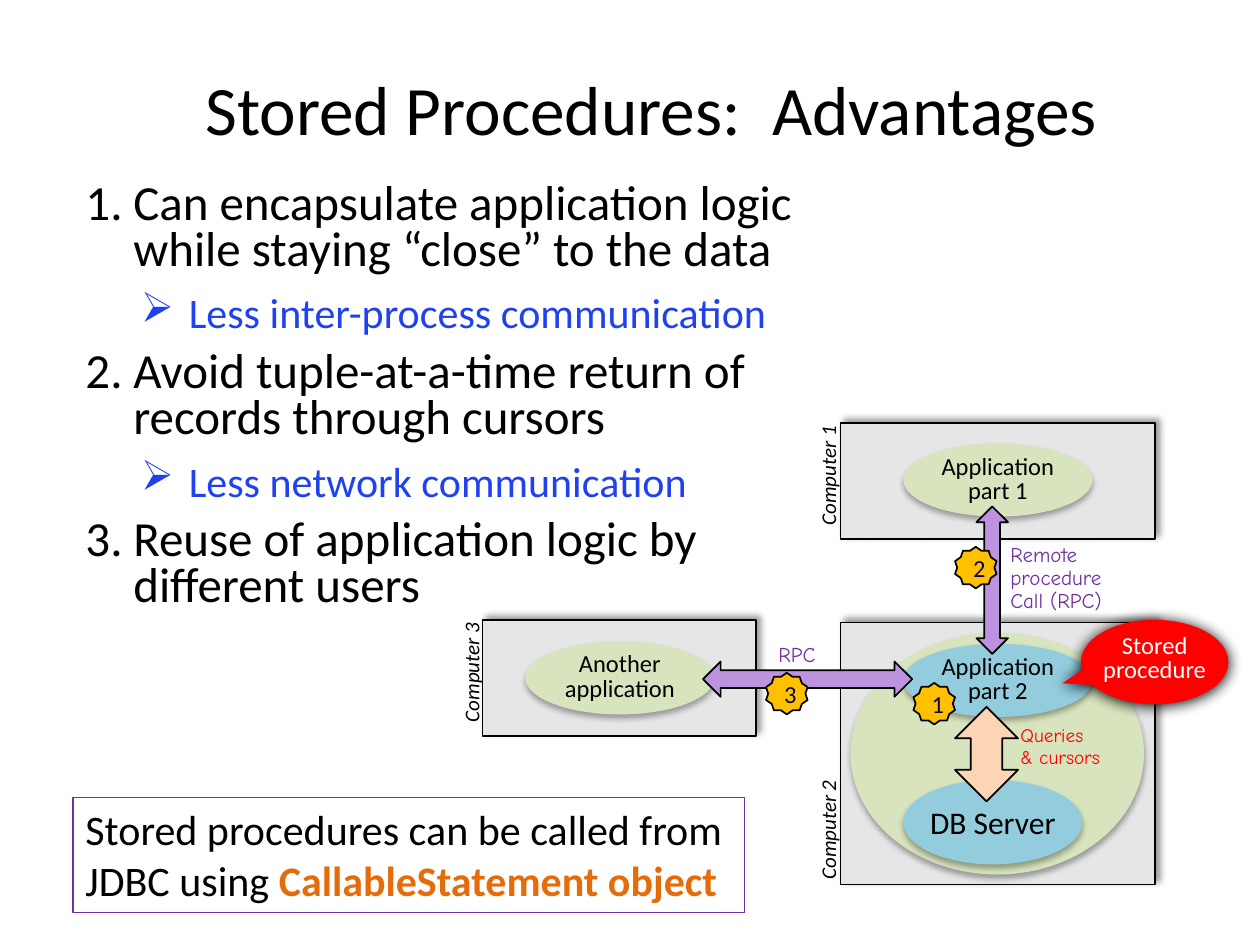
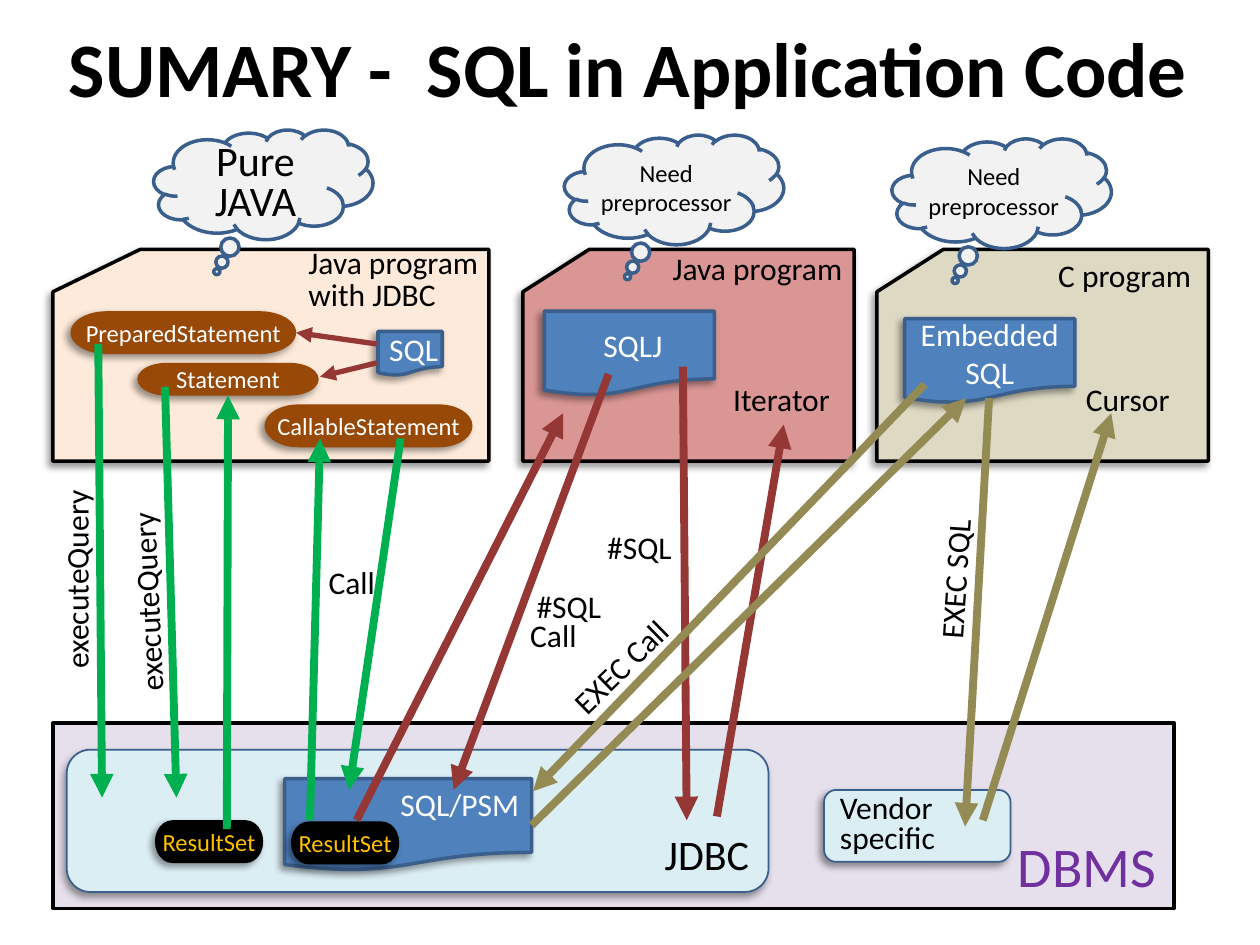
from lxml.etree import SubElement
from pptx import Presentation
from pptx.dml.color import RGBColor
from pptx.enum.shapes import MSO_CONNECTOR, MSO_SHAPE as Preset
from pptx.enum.text import MSO_ANCHOR as Anchor, MSO_AUTO_SIZE as AutoSize, PP_ALIGN as Align
from pptx.oxml.ns import qn
from pptx.util import Inches, Pt

BLACK = RGBColor(0x00, 0x00, 0x00)
WHITE = RGBColor(0xFF, 0xFF, 0xFF)
BLUE = RGBColor(0x20, 0x42, 0xEE)
NAVY = RGBColor(0x09, 0x06, 0x4E)
STEEL = RGBColor(0x4F, 0x81, 0xBD)
STEEL_EDGE = RGBColor(0x3A, 0x5F, 0x8C)
SKY = RGBColor(0x93, 0xCD, 0xDD)
ICE = RGBColor(0xDB, 0xEE, 0xF4)
SAGE = RGBColor(0xD7, 0xE4, 0xBD)
GREEN = RGBColor(0x00, 0xB0, 0x50)
GREY = RGBColor(0xE6, 0xE6, 0xE6)
PALE_GREY = RGBColor(0xF2, 0xF2, 0xF2)
LAVENDER = RGBColor(0xE6, 0xE0, 0xEC)
LILAC = RGBColor(0xBD, 0x92, 0xDE)
PURPLE = RGBColor(0x70, 0x30, 0xA0)
PEACH = RGBColor(0xFC, 0xD5, 0xB5)
CREAM = RGBColor(0xFD, 0xEA, 0xDA)
ORANGE = RGBColor(0xE4, 0x6C, 0x0A)
GOLD = RGBColor(0xFF, 0xC0, 0x00)
BROWN = RGBColor(0x98, 0x48, 0x07)
RED = RGBColor(0xFF, 0x00, 0x00)
ROSE = RGBColor(0xD9, 0x96, 0x94)
MAROON = RGBColor(0x95, 0x37, 0x35)
SAND = RGBColor(0xDD, 0xD9, 0xC3)
OLIVE = RGBColor(0x94, 0x8A, 0x54)

MAIN_FONT = "Calibri"
NOTE_FONT = "Comic Neue"
NO_INSETS = (0, 0, 0, 0)
SIDE_FREE = (0, 0.05, 0, 0.05)

RIGHT_SHADOW = (40, 4, 3, 315)
LEFT_SHADOW = (40, 4, 3, 135)
SOFT_SHADOW = (32, 3.5, 2.2, 90)
STRONG_SHADOW = (100, 8.5, 1, 90)


def cast_shadow(shape, opacity, blur, distance, angle):
    """Give a shape a black outer shadow."""
    effects = shape._element.spPr.find(qn("a:effectLst"))
    outer = SubElement(effects, qn("a:outerShdw"), blurRad=str(Pt(blur)), dist=str(Pt(distance)),
                       dir=str(angle * 60000), algn="ctr", rotWithShape="0")
    color = SubElement(outer, qn("a:srgbClr"), val=str(BLACK))
    SubElement(color, qn("a:alpha"), val=str(opacity * 1000))


def add_shape(page, preset, at, fill=None, edge=None, width=1, shadow=None, adjust=()):
    """Draw a preset shape with its fill, outline and shadow."""
    shape = page.shapes.add_shape(preset, *map(Inches, at))
    shape.shadow.inherit = False
    if fill is None:
        shape.fill.background()
    else:
        shape.fill.solid()
        shape.fill.fore_color.rgb = fill
    if edge is None:
        shape.line.fill.background()
    else:
        shape.line.color.rgb = edge
        shape.line.width = Pt(width)
    if shadow:
        cast_shadow(shape, *shadow)
    for index, value in enumerate(adjust):
        shape.adjustments[index] = value
    return shape


def add_span(para, text, size, color=BLACK, font=MAIN_FONT, bold=False, italic=False):
    """Append one formatted run to a paragraph."""
    span = para.add_run()
    span.text = text
    span.font.size = Pt(size)
    span.font.name = font
    span.font.color.rgb = color
    span.font.bold = bold
    span.font.italic = italic


def write(shape, text, size, color=BLACK, align=Align.CENTER, anchor=Anchor.MIDDLE,
          leading=None, insets=(0.1, 0.05, 0.1, 0.05), **style):
    """Fill a shape with text, one paragraph a line."""
    frame = shape.text_frame
    frame.word_wrap = True
    frame.vertical_anchor = anchor
    frame.margin_left, frame.margin_top, frame.margin_right, frame.margin_bottom = map(Inches, insets)
    for index, line in enumerate(text.split("\n")):
        para = frame.add_paragraph() if index else frame.paragraphs[0]
        para.alignment = align
        if leading:
            para.line_spacing = Pt(leading)
        add_span(para, line, size, color, **style)


def add_label(page, at, text, size=18, color=BLACK, rotation=0, wrap=False, **style):
    """Place free text, turned if needed."""
    box = page.shapes.add_textbox(*map(Inches, at))
    write(box, text, size, color, Align.LEFT, Anchor.TOP, **style)
    box.text_frame.word_wrap = wrap
    box.text_frame.auto_size = AutoSize.SHAPE_TO_FIT_TEXT
    box.rotation = rotation


def add_title(page, at, text, size, bold=False):
    """Place the centred slide title."""
    box = page.shapes.add_textbox(*map(Inches, at))
    write(box, text, size, bold=bold)


def add_arrow(page, start, end, color, width=4.5):
    """Draw a straight line with a triangle at its end."""
    arrow = page.shapes.add_connector(MSO_CONNECTOR.STRAIGHT, *map(Inches, start + end))
    arrow.line.color.rgb = color
    arrow.line.width = Pt(width)
    SubElement(arrow.line._get_or_add_ln(), qn("a:tailEnd"), type="triangle")
    SubElement(arrow._element.spPr, qn("a:effectLst"))


def add_advantages(page, at, items):
    """List numbered advantages, with an arrow bullet under some."""
    frame = page.shapes.add_textbox(*map(Inches, at)).text_frame
    frame.word_wrap = True
    for index, (level, text) in enumerate(items):
        para = frame.add_paragraph() if index else frame.paragraphs[0]
        para.level = level
        para.line_spacing = Pt(26)
        para.space_before = Pt(3)
        para.space_after = Pt(6)
        props = para._p.get_or_add_pPr()
        props.set("marL", str(Inches(0.82 if level else 0.38)))
        props.set("indent", str(Inches(-0.38)))
        if level:
            SubElement(props, qn("a:buChar"), char="➢")
        else:
            SubElement(props, qn("a:buAutoNum"), type="arabicPeriod")
        add_span(para, text, 24 if level else 28, BLUE if level else BLACK)


def add_computer(page, at, name, name_at):
    """Draw a computer as a grey box with its name up the side."""
    add_shape(page, Preset.RECTANGLE, at, GREY, BLACK, shadow=RIGHT_SHADOW)
    add_label(page, (*name_at, 1, 0.3), name, 12, rotation=270, italic=True)


def add_process(page, at, fill, text, size=14, leading=14):
    """Draw a running process as a labelled ellipse."""
    oval = add_shape(page, Preset.OVAL, at, fill, shadow=SOFT_SHADOW)
    write(oval, text, size, leading=leading, insets=NO_INSETS)


def add_document(page, at, text, **style):
    """Draw a blue document that holds SQL."""
    sheet = add_shape(page, Preset.FLOWCHART_DOCUMENT, at, STEEL, STEEL_EDGE, 2, LEFT_SHADOW)
    write(sheet, text, 18, WHITE, **style)


def add_pill(page, at, text, fill=BROWN, color=WHITE):
    """Draw a class name in a rounded pill."""
    pill = add_shape(page, Preset.FLOWCHART_TERMINATOR, at, fill, shadow=LEFT_SHADOW)
    write(pill, text, 14, color, insets=SIDE_FREE)


def add_cloud(page, left, top, text, size=14, leading=None, insets=SIDE_FREE):
    """Draw a thought cloud above a program card."""
    cloud = add_shape(page, Preset.CLOUD_CALLOUT, (left, top, 1.74, 0.87), PALE_GREY, STEEL_EDGE, 2,
                      adjust=(-0.212, 0.795))
    write(cloud, text, size, leading=leading, insets=insets)


def build_advantages(page):
    """Build the slide on the advantages of stored procedures."""
    add_title(page, (0.92, 0.46, 8.5, 0.79), "Stored Procedures:  Advantages", 39.6)
    add_advantages(page, (0.58, 1.42, 6.25, 3.75), [
        (0, "Can encapsulate application logic while staying “close” to the data"),
        (1, "Less inter-process communication"),
        (0, "Avoid tuple-at-a-time return of records through cursors"),
        (1, "Less network communication"),
        (0, "Reuse of application logic by different users")])

    add_computer(page, (6.67, 4.94, 2.5, 2.08), "Computer 2", (6.07, 6.43))
    add_computer(page, (6.67, 3.36, 2.5, 0.92), "Computer 1", (6.07, 3.62))
    add_computer(page, (3.83, 4.92, 2.17, 0.92), "Computer 3", (3.24, 5.18))
    add_shape(page, Preset.OVAL, (6.75, 5.02, 2.33, 1.92), SAGE, shadow=SOFT_SHADOW)
    add_process(page, (7.17, 6.19, 1.42, 0.67), SKY, "DB Server", 18, None)
    add_process(page, (7.17, 3.52, 1.5, 0.58), SAGE, "Application\npart 1")
    add_process(page, (7.17, 5.11, 1.5, 0.58), SKY, "Application\npart 2")
    add_process(page, (4.17, 5.09, 1.5, 0.58), SAGE, "Another application")

    for preset, at, fill in [
            (Preset.UP_DOWN_ARROW, (7.75, 4.02, 0.25, 1.17), LILAC),
            (Preset.UP_DOWN_ARROW, (7.58, 5.61, 0.5, 0.75), PEACH),
            (Preset.LEFT_RIGHT_ARROW, (5.58, 5.25, 1.66, 0.28), LILAC)]:
        add_shape(page, preset, at, fill, BLACK)
    for at, text, size, color, leading in [
            ((7.92, 4.27, 1, 0.65), "Remote\nprocedure\nCall (RPC)", 12, PURPLE, 13),
            ((8, 5.69, 0.89, 0.47), "Queries\n& cursors", 11, RED, 13),
            ((6.08, 5.09, 0.5, 0.26), "RPC", 12, PURPLE, 11)]:
        add_label(page, at, text, size, color, leading=leading, font=NOTE_FONT)
    for number, left, top in [("1", 7.25, 5.42), ("2", 7.58, 4.34), ("3", 6.08, 5.34)]:
        star = add_shape(page, Preset.STAR_10_POINT, (left, top, 0.33, 0.33), GOLD, BLACK)
        write(star, number, 14, NAVY)

    callout = add_shape(page, Preset.OVAL_CALLOUT, (8.58, 4.92, 1.17, 0.67), RED,
                        shadow=STRONG_SHADOW, adjust=(-0.627, 0.252))
    write(callout, "Stored procedure", 14, WHITE, leading=14, insets=(0, 0, 0, 0.05))
    note = add_shape(page, Preset.RECTANGLE, (0.58, 6.33, 5.33, 0.91), edge=PURPLE, width=0.75)
    write(note, "Stored procedures can be called from JDBC using ", 24, align=Align.LEFT, anchor=Anchor.TOP)
    add_span(note.text_frame.paragraphs[0], "CallableStatement object", 24, ORANGE, bold=True)


def build_summary(page):
    """Build the slide that maps application code to the DBMS."""
    add_shape(page, Preset.RECTANGLE, (0.42, 5.74, 8.9, 1.47), LAVENDER, BLACK, 2)
    add_title(page, (0.32, 0.16, 9.34, 0.74), "SUMARY -  SQL in Application Code", 44, bold=True)
    add_label(page, (7.98, 6.55, 1.31, 0.64), "DBMS", 32, PURPLE)
    for at, text, size, align, anchor in [
            ((6.54, 6.27, 1.48, 0.57), "Vendor specific", 18, Align.LEFT, Anchor.MIDDLE),
            ((0.53, 5.95, 5.57, 1.13), "JDBC", 24, Align.RIGHT, Anchor.BOTTOM)]:
        panel = add_shape(page, Preset.ROUNDED_RECTANGLE, at, ICE, STEEL_EDGE, 1, LEFT_SHADOW)
        write(panel, text, size, align=align, anchor=anchor, leading=17)

    for left, width, fill in [(0.42, 3.46, CREAM), (4.15, 2.63, ROSE), (6.96, 2.63, SAND)]:
        add_shape(page, Preset.FLOWCHART_CARD, (left, 1.98, width, 1.68), fill, BLACK, 2, LEFT_SHADOW)
    add_cloud(page, 1.22, 1.03, "Pure JAVA", 24, 23, (0, 0.05, 0, 0))
    add_cloud(page, 4.48, 1.07, "Need preprocessor")
    add_cloud(page, 7.08, 1.1, "Need preprocessor")

    add_document(page, (3, 2.63, 0.51, 0.35), " SQL", insets=SIDE_FREE)
    add_document(page, (4.32, 2.47, 1.35, 0.67), " SQLJ")
    add_document(page, (7.18, 2.53, 1.35, 0.67), "Embedded SQL")
    add_document(page, (2.26, 6.18, 1.96, 0.73), "SQL/PSM", align=Align.RIGHT, anchor=Anchor.TOP)
    add_pill(page, (1.09, 2.88, 1.44, 0.26), "Statement")
    add_pill(page, (0.56, 2.47, 1.79, 0.34), "PreparedStatement")
    add_pill(page, (2.1, 3.21, 1.65, 0.34), "CallableStatement")
    for left, top in [(1.23, 6.51), (2.31, 6.52)]:
        add_pill(page, (left, top, 0.86, 0.34), "ResultSet", BLACK, GOLD)

    add_label(page, (2.35, 1.93, 1.6, 0.61), "Java program\nwith JDBC", wrap=True, leading=18)
    for left, top, width, text, rotation, wrap in [
            (5.24, 1.93, 1.6, "Java program", 0, True),
            (8.3, 1.98, 1.36, "C program", 0, True),
            (5.72, 2.97, 1.02, "Iterator", 0, True),
            (8.52, 2.97, 0.91, "Cursor", 0, True),
            (-0.21, 4.39, 1.63, "executeQuery", 270, False),
            (0.35, 4.57, 1.63, "executeQuery", 267.3, False),
            (2.51, 4.42, 0.57, "Call", 0, False),
            (4.72, 4.14, 0.72, "#SQL", 0, False),
            (4.16, 4.61, 0.72, "#SQL", 0, False),
            (4.11, 4.84, 0.57, "Call", 0, False),
            (6.95, 4.34, 1.26, "EXEC SQL", 273.8, True),
            (4.34, 5.04, 1.26, "EXEC Call", 315.5, True)]:
        add_label(page, (left, top, width, 0.4), text, rotation=rotation, wrap=wrap)

    add_arrow(page, (2.99, 2.73), (2.35, 2.64), MAROON, 3)
    add_arrow(page, (2.99, 2.88), (2.54, 2.99), MAROON, 3)
    calls = {
        GREEN: [((0.78, 2.73), (0.81, 6.33)), ((1.31, 3.07), (1.4, 6.33)), ((1.8, 6.58), (1.81, 3.14)),
                ((2.46, 6.51), (2.54, 3.48)), ((3.18, 3.48), (2.77, 6.27))],
        MAROON: [((5.42, 2.91), (5.45, 6.51)), ((5.69, 6.48), (6.22, 3.37)),
                 ((2.83, 6.51), (4.47, 3.28)), ((4.83, 2.97), (3.6, 6.27))],
        OLIVE: [((7.85, 3.16), (7.66, 6.56)), ((7.8, 6.51), (8.82, 3.28)),
                ((7.34, 3.05), (4.23, 6.28)), ((4.22, 6.55), (7.67, 3.16))]}
    for color, routes in calls.items():
        for start, end in routes:
            add_arrow(page, start, end, color)


def main():
    """Build both slides and save the deck."""
    deck = Presentation()
    deck.slide_width, deck.slide_height = Inches(10), Inches(7.5)
    for build in (build_advantages, build_summary):
        build(deck.slides.add_slide(deck.slide_layouts[6]))
    deck.save("out.pptx")


if __name__ == "__main__":
    main()
